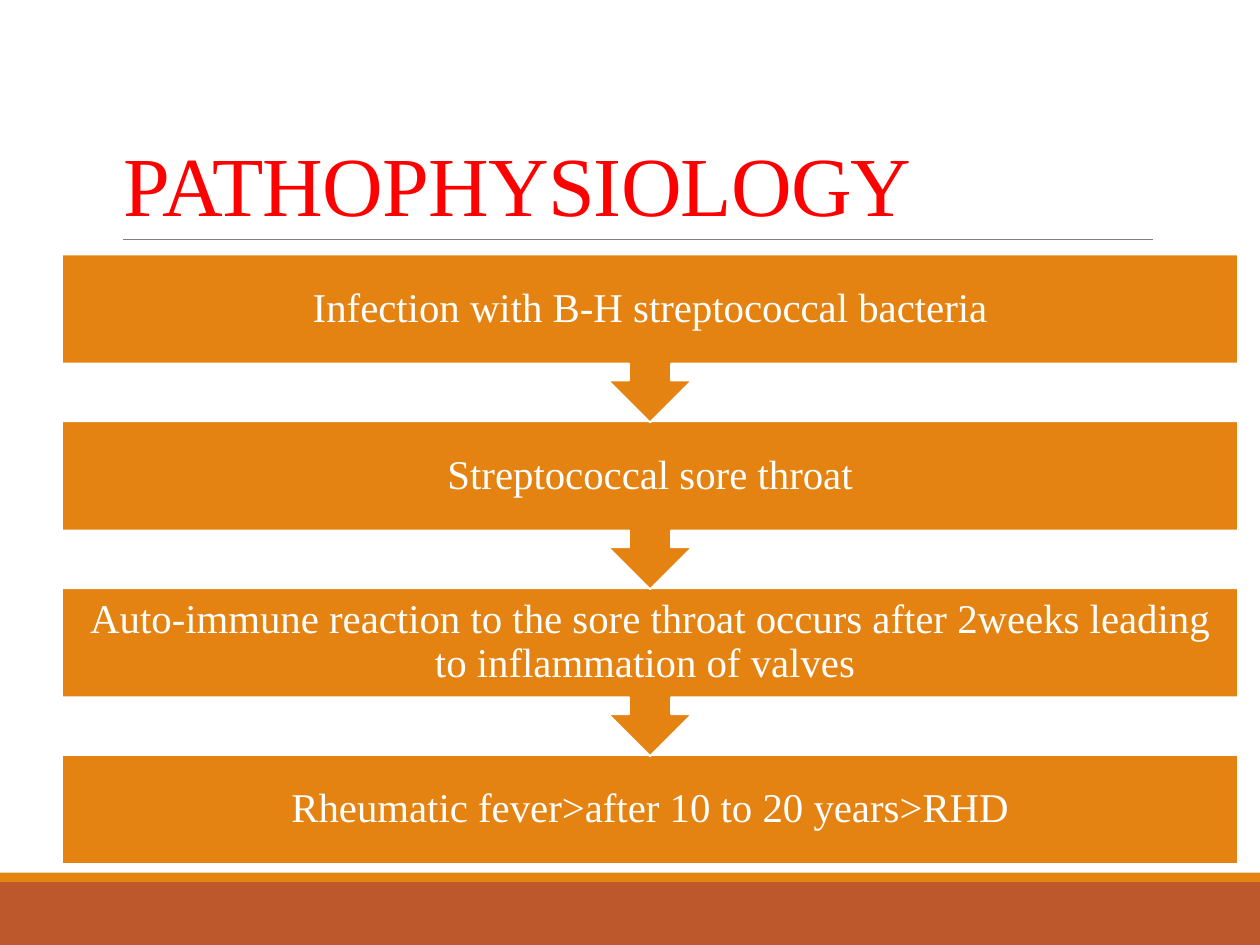
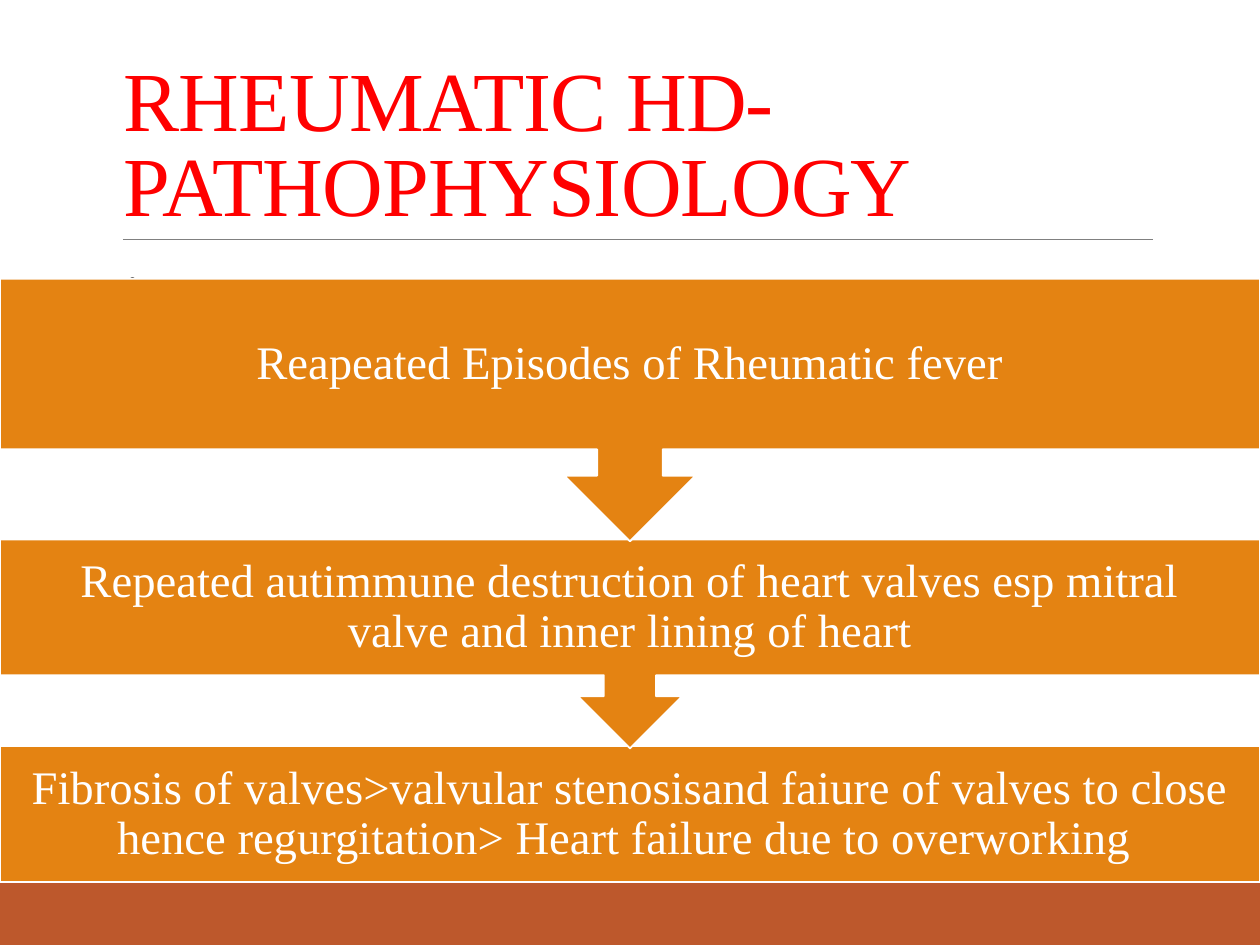
import pptx
import pptx.util
from pptx.dml.color import RGBColor
from pptx.enum.shapes import MSO_CONNECTOR, MSO_SHAPE
from pptx.enum.text import MSO_ANCHOR, MSO_AUTO_SIZE, PP_ALIGN
from pptx.oxml.ns import qn
from lxml import etree

Pt = pptx.util.Pt

# Shared look
ORANGE = RGBColor(0xE4, 0x83, 0x12)
RUST = RGBColor(0xBD, 0x58, 0x2C)
GREY = RGBColor(0x80, 0x80, 0x80)
DARK = RGBColor(0x40, 0x40, 0x40)
RED = RGBColor(0xFF, 0x00, 0x00)
WHITE = RGBColor(0xFF, 0xFF, 0xFF)
FONT = "Times New Roman"
SLIDE_WIDTH, SLIDE_HEIGHT = 864, 648
CONTENT_LEFT, CONTENT_WIDTH = 77.76, 712.8
TITLE_AND_CONTENT, TITLE_ONLY = 1, 5


def place(shape, left, top, width, height):
    shape.left, shape.top = Pt(left), Pt(top)
    shape.width, shape.height = Pt(width), Pt(height)


def style(paragraph, size, color, line_spacing, align):
    paragraph.font.name = FONT
    paragraph.font.size = Pt(size)
    paragraph.font.color.rgb = color
    paragraph.line_spacing = line_spacing
    paragraph.alignment = align
    paragraph.space_before = Pt(0)


def add_block(slide, kind, left, top, width, height, fill):
    block = slide.shapes.add_shape(kind, Pt(left), Pt(top), Pt(width), Pt(height))
    block.shadow.inherit = False
    block.fill.solid()
    block.fill.fore_color.rgb = fill
    block.line.fill.background()
    return block


# Footer bands and the rule under the title
def add_frame(slide):
    for top, height, fill in ((604.8, 43.2, RUST), (598.3, 6.5, ORANGE)):
        add_block(slide, MSO_SHAPE.RECTANGLE, 0, top, SLIDE_WIDTH, height, fill)
    rule = slide.shapes.add_connector(
        MSO_CONNECTOR.STRAIGHT, Pt(84.24), Pt(164.2), Pt(790.56), Pt(164.2))
    rule.line.color.rgb = GREY
    rule.line.width = Pt(0.5)
    etree.SubElement(rule._element.spPr, qn("a:effectLst"))


def set_title(slide, text):
    title = slide.shapes.title
    place(title, CONTENT_LEFT, 27.36, CONTENT_WIDTH, 136.8)
    frame = title.text_frame
    frame.text = text
    frame.auto_size = MSO_AUTO_SIZE.NONE
    frame.vertical_anchor = MSO_ANCHOR.BOTTOM
    paragraph = frame.paragraphs[0]
    style(paragraph, 57.6, RED, 0.85, PP_ALIGN.LEFT)
    paragraph.runs[0].font._element.set("spc", "-60")


def set_body(slide, text):
    body = slide.placeholders[1]
    place(body, CONTENT_LEFT, 174.24, CONTENT_WIDTH, 380.16)
    frame = body.text_frame
    frame.text = text
    frame.auto_size = MSO_AUTO_SIZE.NONE
    frame.margin_left = frame.margin_right = 0
    paragraph = frame.paragraphs[0]
    properties = paragraph._p.get_or_add_pPr()
    properties.set("marL", str(Pt(8.64)))
    properties.set("indent", "0")
    etree.SubElement(properties, qn("a:buNone"))
    style(paragraph, 32, DARK, 0.9, PP_ALIGN.LEFT)


# Steps from top to bottom; every step but the last points at the next one
def add_flow(slide, steps, left, top, width, overlap, size, margin):
    placed = []
    for text, height in steps:
        placed.append((text, top, height))
        top += height - overlap
    last_text = steps[-1][0]
    # Lower steps go first so that each arrow tip lies over the next step
    for text, step_top, height in reversed(placed):
        kind = MSO_SHAPE.RECTANGLE if text == last_text else MSO_SHAPE.DOWN_ARROW_CALLOUT
        step = add_block(slide, kind, left, step_top, width, height, ORANGE)
        step.line.color.rgb = WHITE
        step.line.width = Pt(1.25)
        frame = step.text_frame
        frame.text = text
        frame.word_wrap = True
        frame.vertical_anchor = MSO_ANCHOR.MIDDLE
        frame.margin_left = frame.margin_right = Pt(margin)
        frame.margin_top = frame.margin_bottom = 0
        style(frame.paragraphs[0], size, WHITE, 0.9, PP_ALIGN.CENTER)


def add_slide(deck, layout, title):
    slide = deck.slides.add_slide(deck.slide_layouts[layout])
    set_title(slide, title)
    add_frame(slide)
    return slide


def main():
    deck = pptx.Presentation()
    deck.slide_width, deck.slide_height = Pt(SLIDE_WIDTH), Pt(SLIDE_HEIGHT)

    # Rheumatic fever
    fever = add_slide(deck, TITLE_ONLY, "PATHOPHYSIOLOGY")
    add_flow(fever, [
        ("Infection with B-H streptococcal bacteria", 115.2),
        ("Streptococcal sore throat", 115.2),
        ("Auto-immune reaction to the sore throat occurs after 2weeks "
         "leading to inflammation of valves ", 115.2),
        ("Rheumatic fever>after 10 to 20 years>RHD", 74.9),
    ], left=42.6, top=174.5, width=806.4, overlap=0.8, size=28, margin=15.8)

    # Rheumatic heart disease
    heart = add_slide(deck, TITLE_AND_CONTENT, "RHEUMATIC HD-PATHOPHYSIOLOGY")
    set_body(heart, ":")
    add_flow(heart, [
        ("Reapeated Episodes of Rheumatic fever", 180),
        ("Repeated autimmune destruction of heart valves esp mitral valve "
         "and inner lining of heart", 143.3),
        ("Fibrosis of valves>valvular stenosisand faiure of valves to close "
         "hence regurgitation> Heart failure due to overworking ", 92.9),
    ], left=0, top=191.2, width=SLIDE_WIDTH, overlap=1.3, size=32, margin=18)

    deck.save("out.pptx")


if __name__ == "__main__":
    main()
